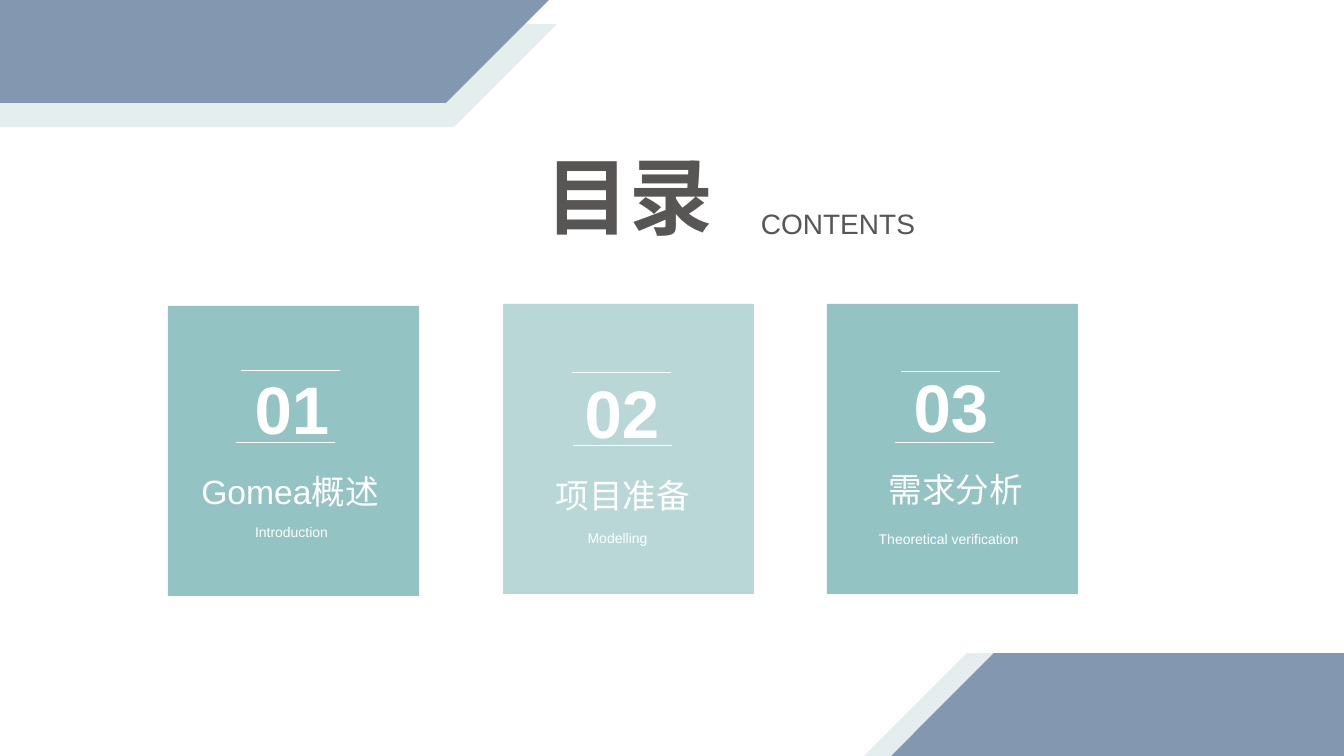
from pptx import Presentation
from pptx.dml.color import RGBColor
from pptx.enum.shapes import MSO_CONNECTOR, MSO_SHAPE
from pptx.enum.text import PP_ALIGN
from pptx.oxml.ns import qn
from pptx.util import Pt
from lxml.etree import SubElement

PX = 914400 / 100.8
THEME = {
    "font": "Arial",
    "slate": RGBColor.from_string("8497B0"),
    "mist": RGBColor.from_string("E4EEEF"),
    "teal": RGBColor.from_string("93C3C2"),
    "pale": RGBColor.from_string("BAD7D7"),
    "ink": RGBColor.from_string("585555"),
    "white": RGBColor.from_string("FFFFFF"),
    "title": 60, "number": 48, "heading": 24, "subtitle": 20, "caption": 10,
    "rule": 0.5,
}


def add_block(kind, box, color):
    sp = s.shapes.add_shape(kind, *[round(v * PX) for v in box])
    sp.shadow.inherit = False
    sp.fill.solid()
    sp.fill.fore_color.rgb = THEME[color]
    sp.line.fill.background()
    return sp


def add_label(text, box, size, color="white", bold=False, spacing=None):
    tf = s.shapes.add_textbox(*[round(v * PX) for v in box]).text_frame
    tf.word_wrap = True
    p = tf.paragraphs[0]
    p.text = text
    p.alignment = PP_ALIGN.CENTER
    p.line_spacing = spacing
    r = p.runs[0]
    r.font.name = THEME["font"]
    r.font.size = Pt(THEME[size])
    r.font.bold = bold
    r.font.color.rgb = THEME[color]
    SubElement(r.font._element, qn("a:ea")).set("typeface", THEME["font"])


prs = Presentation()
prs.slide_width = round(1344 * PX)
prs.slide_height = round(756 * PX)
s = prs.slides.add_slide(prs.slide_layouts[6])

for x, y, color in [(-190, 24, "mist"), (-198, 0, "slate"),
                    (864, 653, "mist"), (891, 653, "slate")]:
    band = add_block(MSO_SHAPE.PARALLELOGRAM, (x, y, 747, 103), color)
    band.adjustments[0] = 1

add_label("目录", (516, 140, 228, 112), "title", "ink", bold=True)
add_label(" CONTENTS ", (724, 202, 228, 44), "subtitle", "ink")

cards = [
    ("01", "Gomea概述", "Introduction", "teal", (168, 306),
     (236, 362), (175, 466, 230), (168, 510), [(241, 370), (236, 442)]),
    ("02", "项目准备", "Modelling ", "pale", (503, 304),
     (566, 366), (517, 470, 212), (496, 516), [(572, 372), (573, 445)]),
    ("03", "需求分析", "Theoretical verification", "teal", (827, 304),
     (895, 360), (827, 464, 258), (825, 517), [(901, 371), (895, 442)]),
]

for number, heading, caption, color, card_at, number_at, heading_at, caption_at, rules in cards:
    add_block(MSO_SHAPE.RECTANGLE, (*card_at, 251, 290), color)
    add_label(caption, (*caption_at, 247, 32), "caption", spacing=1.5)
    add_label(heading, (*heading_at, 50), "heading")
    add_label(number, (*number_at, 112, 92), "number", bold=True)
    for x, y in rules:
        rule = s.shapes.add_connector(
            MSO_CONNECTOR.STRAIGHT, *[round(v * PX) for v in (x, y, x + 99, y)])
        rule.line.color.rgb = THEME["white"]
        rule.line.width = Pt(THEME["rule"])
        SubElement(rule._element.spPr, qn("a:effectLst"))

prs.save("out.pptx")
